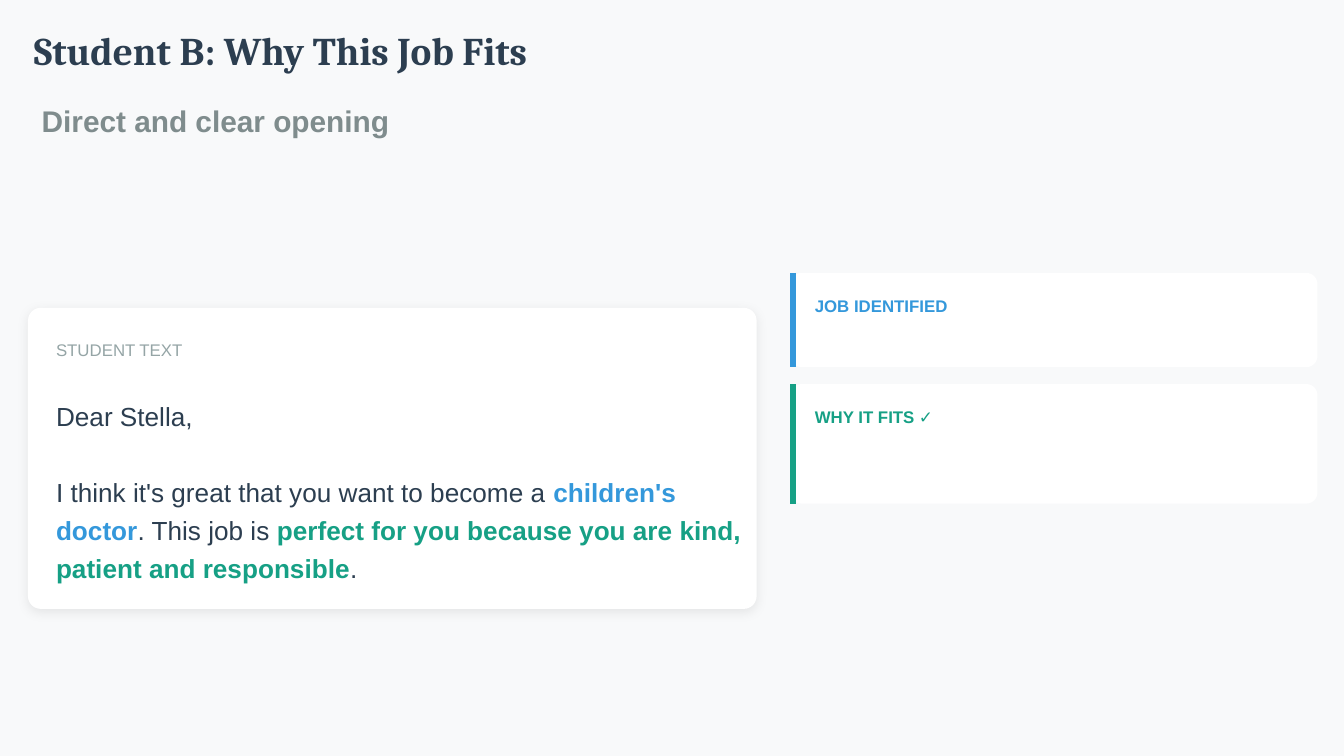
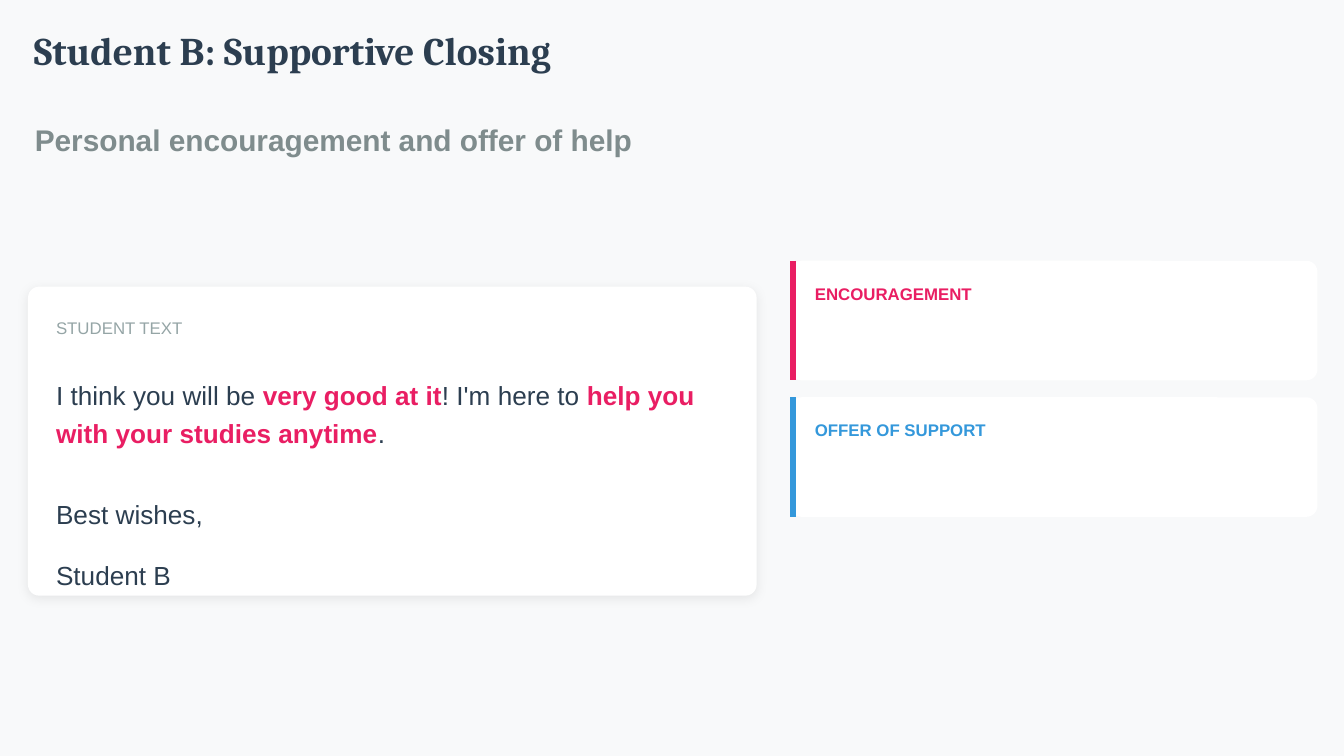
import pptx
import pptx.util
import pptx.dml.color
import pptx.enum.shapes
import pptx.oxml
import pptx.oxml.ns

Cm, Pt = pptx.util.Cm, pptx.util.Pt
RGBColor = pptx.dml.color.RGBColor
MSO_SHAPE = pptx.enum.shapes.MSO_SHAPE

# Colours
PAPER = RGBColor(0xF8, 0xF9, 0xFA)
WHITE = RGBColor(0xFF, 0xFF, 0xFF)
INK = RGBColor(0x2C, 0x3E, 0x50)
GREY = RGBColor(0x7F, 0x8C, 0x8D)
PALE = RGBColor(0x95, 0xA5, 0xA6)
BLUE = RGBColor(0x34, 0x98, 0xDB)
GREEN = RGBColor(0x16, 0xA0, 0x85)
PINK = RGBColor(0xE9, 0x1E, 0x63)

# Text styles: font attributes and line spacing
TITLE = ({"name": "Cambria", "size": Pt(21), "bold": True}, {"line_spacing": Pt(21)})
SUBTITLE = ({"name": "Arial", "size": Pt(16), "bold": True},
            {"line_spacing": Pt(13.7), "space_before": Pt(3)})
LABEL = ({"name": "Arial", "size": Pt(9), "bold": False},
         {"line_spacing": Pt(12.6), "space_after": Pt(6)})
NOTE = ({"name": "Arial", "size": Pt(9), "bold": True},
        {"line_spacing": Pt(12.6), "space_after": Pt(3)})
BODY = ({"name": "Arial", "size": Pt(14), "bold": False}, {"line_spacing": Pt(20.2)})

CARD_X, CARD_W, CARD_PAD = 0.53, 13.77, 0.53
NOTE_X, NOTE_W, NOTE_GAP = 14.94, 9.96, 0.32
RADIUS = 0.21

NS = pptx.oxml.ns.nsdecls("a")
NO_EFFECT = f"<a:effectLst {NS}/>"
SOFT_SHADOW = (f'<a:effectLst {NS}><a:outerShdw blurRad="{Pt(6)}" dist="{Pt(1.5)}" '
               'dir="5400000" algn="bl" rotWithShape="0"><a:srgbClr val="000000">'
               '<a:alpha val="8000"/></a:srgbClr></a:outerShdw></a:effectLst>')


def apply(target, values):
    for name, value in values.items():
        setattr(target, name, value)


def add_text(s, x, y, w, h, paragraphs, style, before=0):
    """Each paragraph is a list of (text, colour) or (text, colour, bold) runs."""
    font, spacing = style
    tf = s.shapes.add_textbox(Cm(x), Cm(y), Cm(w), Cm(h)).text_frame
    apply(tf, {"word_wrap": True, "margin_left": 0, "margin_top": 0,
               "margin_right": 0, "margin_bottom": 0})
    for i, runs in enumerate(paragraphs):
        p = tf.paragraphs[0] if i == 0 else tf.add_paragraph()
        apply(p, spacing)
        if before:
            p.space_before = Pt(before)
        for text, color, *bold in runs:
            r = p.add_run()
            r.text = text
            apply(r.font, font)
            r.font.color.rgb = color
            if bold:
                r.font.bold = bold[0]


def add_panel(s, x, y, w, h, radius=RADIUS):
    sp = s.shapes.add_shape(MSO_SHAPE.ROUNDED_RECTANGLE, Cm(x), Cm(y), Cm(w), Cm(h))
    sp.adjustments[0] = radius / min(w, h)
    sp.fill.solid()
    sp.fill.fore_color.rgb = WHITE
    sp.line.fill.background()
    return sp


def add_heading(s, title, subtitle, x, y):
    add_text(s, 0.64, 0.64, 12.34, 0.74, [[(title, INK)]], TITLE)
    add_text(s, x, y, 24.61, 0.48, [[(subtitle, GREY)]], SUBTITLE)


def add_student_card(s, y, h, radius, blocks):
    """Blocks are (offset from card top, height, space before, paragraphs)."""
    sp = add_panel(s, CARD_X, y, CARD_W, h, radius)
    sp._element.spPr.append(pptx.oxml.parse_xml(SOFT_SHADOW))
    x, w = CARD_X + CARD_PAD, 12.96
    add_text(s, x, y + CARD_PAD, w, 0.43, [[("STUDENT TEXT", PALE)]], LABEL)
    for offset, height, before, paragraphs in blocks:
        add_text(s, x, y + offset, w, height, paragraphs, BODY, before)


def add_note(s, y, h, text, color):
    add_panel(s, NOTE_X, y, NOTE_W, h).shadow.inherit = False
    # Accent bar along the left side
    x = Cm(NOTE_X + 0.05)
    bar = s.shapes.add_connector(pptx.enum.shapes.MSO_CONNECTOR.STRAIGHT,
                                 x, Cm(y), x, Cm(y + h))
    bar.line.color.rgb = color
    bar.line.width = Pt(3)
    bar._element.spPr.append(pptx.oxml.parse_xml(NO_EFFECT))
    add_text(s, NOTE_X + 0.46, y + 0.37, 9.27, 0.43, [[(text, color)]], NOTE)


def add_notes(s, y, notes):
    for h, text, color in notes:
        add_note(s, y, h, text, color)
        y += h + NOTE_GAP


def add_slide(prs, heading, card, notes):
    s = prs.slides.add_slide(prs.slide_layouts[6])
    s.background.fill.solid()
    s.background.fill.fore_color.rgb = PAPER
    add_heading(s, *heading)
    add_student_card(s, *card)
    add_notes(s, *notes)


def main():
    prs = pptx.Presentation()
    prs.slide_width, prs.slide_height = Cm(25.4), Cm(14.29)

    # Opening of the letter
    add_slide(
        prs,
        ("Student B: Why This Job Fits", "Direct and clear opening", 0.79, 2.13),
        (5.82, 5.69, 0.24, [
            (1.63, 0.71, 0, [[("Dear Stella,", INK)]]),
            (3.07, 1.42, 9, [[
                ("I think it's great that you want to become a ", INK),
                ("children's doctor", BLUE, True),
                (". This job is ", INK),
                ("perfect for you because you are kind, patient and responsible",
                 GREEN, True),
                (".", INK)]]),
        ]),
        (5.16, [(1.78, "JOB IDENTIFIED", BLUE), (2.26, "WHY IT FITS ✓", GREEN)]),
    )

    # Closing of the letter
    add_slide(
        prs,
        ("Student B: Supportive Closing", "Personal encouragement and offer of help",
         0.66, 2.49),
        (5.42, 5.84, RADIUS, [
            (1.63, 1.42, 0, [[
                ("I think you will be ", INK),
                ("very good at it", PINK, True),
                ("! I'm here to ", INK),
                ("help you with your studies anytime", PINK, True),
                (".", INK)]]),
            (3.89, 1.42, 12, [[("Best wishes,", INK)], [("Student B", INK)]]),
        ]),
        (4.93, [(2.26, "ENCOURAGEMENT", PINK), (2.26, "OFFER OF SUPPORT", BLUE)]),
    )

    prs.save("out.pptx")


if __name__ == "__main__":
    main()
